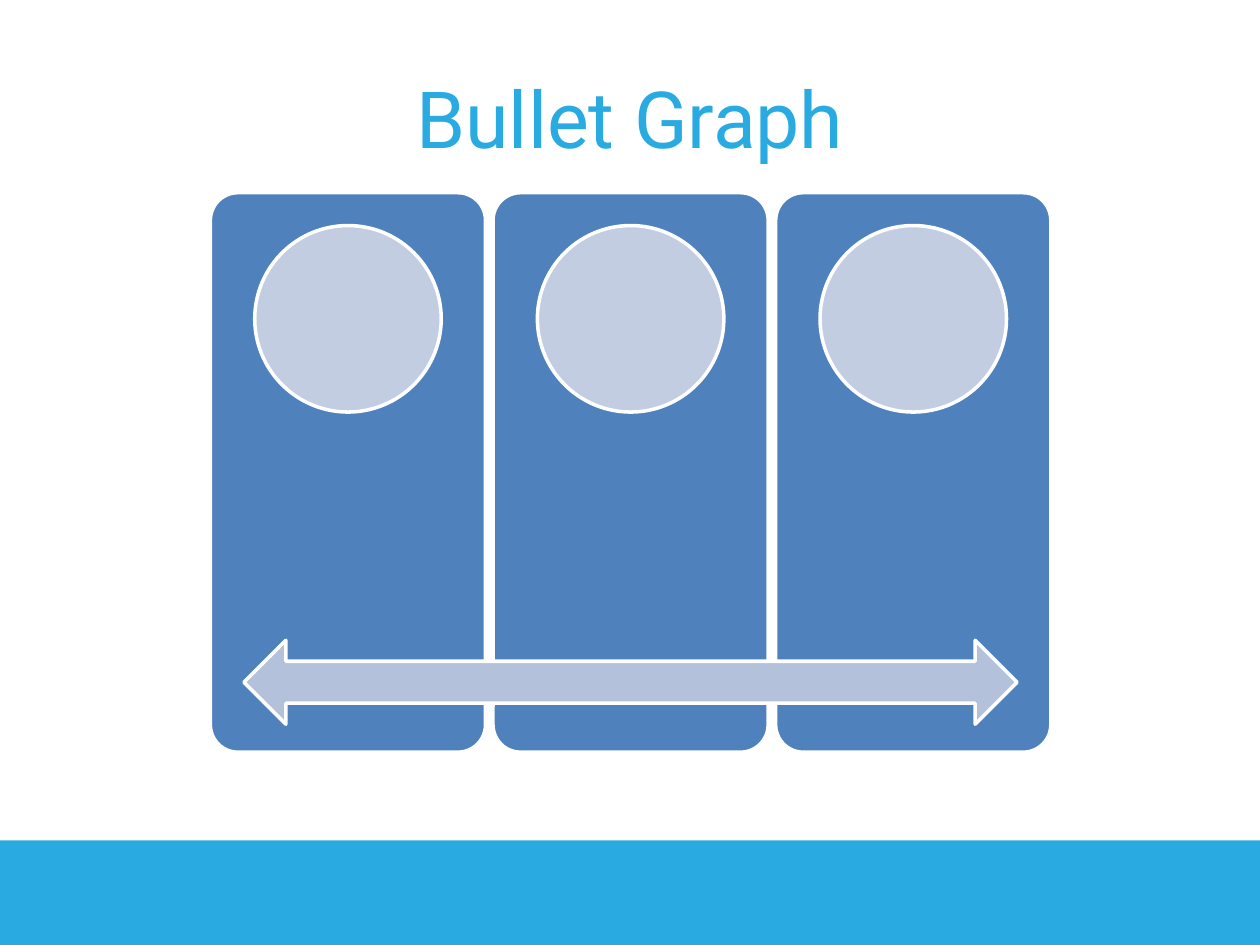
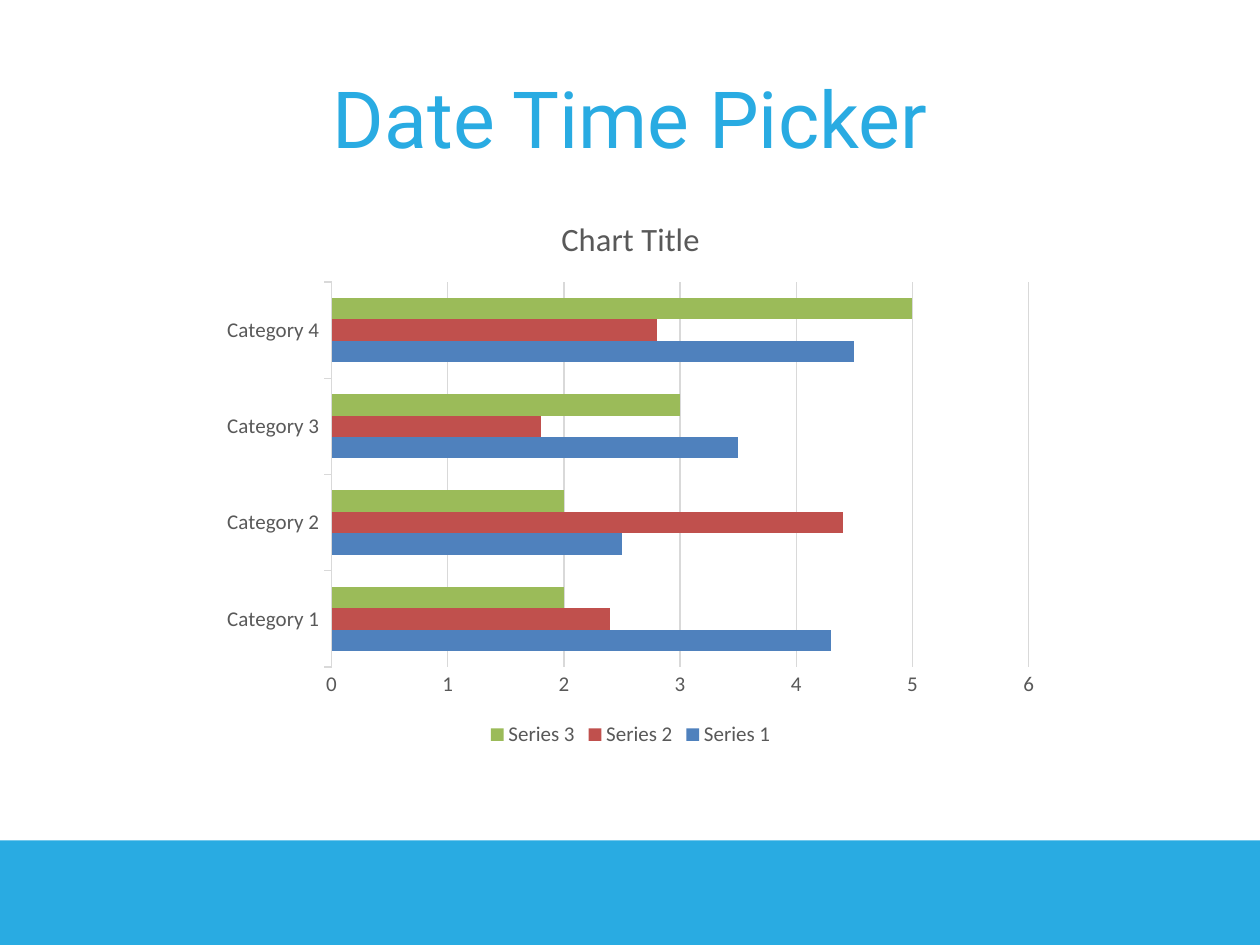
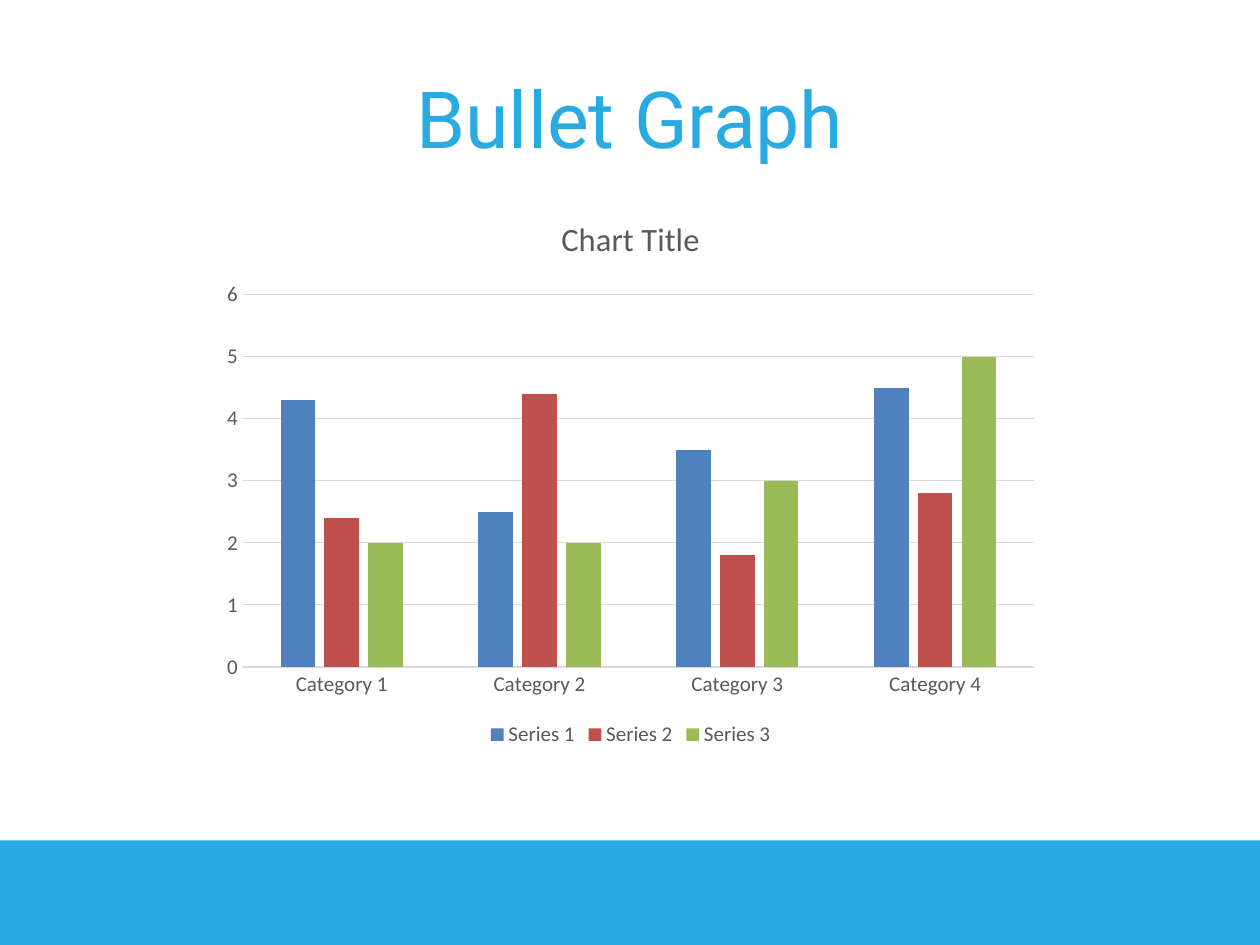
from pptx import Presentation
from pptx.chart.data import CategoryChartData
from pptx.dml.color import RGBColor
from pptx.enum import chart as ch, shapes, text
from pptx.util import Inches, Pt

SKY, WHITE, GREY, GRID = "29ABE2", "FFFFFF", "595959", "D9D9D9"
BLUE, RED, GREEN = "4F81BD", "C0504D", "9BBB59"
DISC, ARROW = "C2CDE1", "B3C1DB"
CONTENT = (1.67, 1.53, 6.67, 4.44)
CATEGORIES = [f"Category {n}" for n in range(1, 5)]
SERIES = [
    ("Series 1", (4.3, 2.5, 3.5, 4.5), BLUE),
    ("Series 2", (2.4, 4.4, 1.8, 2.8), RED),
    ("Series 3", (2, 2, 3, 5), GREEN),
]
BAR = dict(kind=ch.XL_CHART_TYPE.BAR_CLUSTERED, tick=ch.XL_TICK_MARK.OUTSIDE,
           gap_width=150, overlap=0)
COLUMN = dict(kind=ch.XL_CHART_TYPE.COLUMN_CLUSTERED, tick=ch.XL_TICK_MARK.NONE,
              gap_width=219, overlap=-27)


def rgb(value):
    return RGBColor.from_string(value)


def set_all(target, values):
    for name, value in values.items():
        setattr(target, name, value)


def style_font(font, size, color, name="Calibri"):
    set_all(font, dict(size=Pt(size), name=name, bold=False))
    font.color.rgb = rgb(color)


def style_line(line, color, width):
    line.color.rgb = rgb(color)
    line.width = Pt(width)


def add_block(s, kind, box, fill, outline=None):
    sp = s.shapes.add_shape(kind, *map(Inches, box))
    sp.shadow.inherit = False
    sp.fill.solid()
    sp.fill.fore_color.rgb = rgb(fill)
    if outline:
        style_line(sp.line, outline, 2)
    else:
        sp.line.fill.background()
    return sp


def add_base(prs, title):
    s = prs.slides.add_slide(prs.slide_layouts[6])
    tf = s.shapes.add_textbox(*map(Inches, (0.5, 0.3, 9, 1.25))).text_frame
    set_all(tf, dict(word_wrap=True, vertical_anchor=text.MSO_ANCHOR.MIDDLE))
    p = tf.paragraphs[0]
    p.alignment = text.PP_ALIGN.CENTER
    r = p.add_run()
    r.text = title
    style_font(r.font, 45, SKY, "Roboto")
    add_block(s, shapes.MSO_SHAPE.RECTANGLE, (0, 6.67, 10, 0.83), SKY)
    return s


def add_panels(s, box, count=3, gap=0.06, disc=1.48):
    left, top, width, height = box
    panel = (width - gap * (count - 1)) / count
    for i in range(count):
        x = left + i * (panel + gap)
        sp = add_block(s, shapes.MSO_SHAPE.ROUNDED_RECTANGLE,
                       (x, top, panel, height), BLUE, WHITE)
        sp.adjustments[0] = 0.1
        add_block(s, shapes.MSO_SHAPE.OVAL,
                  (x + (panel - disc) / 2, top + 0.26, disc, disc), DISC, WHITE)
    add_block(s, shapes.MSO_SHAPE.LEFT_RIGHT_ARROW,
              (left + width * 0.04, top + height * 0.8, width * 0.92, height * 0.15),
              ARROW, WHITE)


def add_bars(s, box, kind, tick, gap_width, overlap):
    data = CategoryChartData()
    data.categories = CATEGORIES
    for name, values, _ in SERIES:
        data.add_series(name, values)
    chart = s.shapes.add_chart(kind, *map(Inches, box), data).chart
    style_font(chart.font, 10, "000000")

    chart.has_title = True
    p = chart.chart_title.text_frame.paragraphs[0]
    r = p.add_run()
    r.text = "Chart Title"
    style_font(r.font, 18.6, GREY)
    chart.chart_title.include_in_layout = False

    chart.has_legend = True
    set_all(chart.legend, dict(position=ch.XL_LEGEND_POSITION.BOTTOM,
                               include_in_layout=False))
    style_font(chart.legend.font, 12, GREY)

    for axis, mark in ((chart.category_axis, tick),
                       (chart.value_axis, ch.XL_TICK_MARK.NONE)):
        set_all(axis, dict(major_tick_mark=mark,
                           minor_tick_mark=ch.XL_TICK_MARK.NONE))
        style_font(axis.tick_labels.font, 12, GREY)
    chart.category_axis.has_major_gridlines = False
    style_line(chart.category_axis.format.line, GRID, 0.75)
    set_all(chart.value_axis, dict(minimum_scale=0, maximum_scale=6, major_unit=1))
    chart.value_axis.format.line.fill.background()
    style_line(chart.value_axis.major_gridlines.format.line, GRID, 0.75)

    plot = chart.plots[0]
    set_all(plot, dict(gap_width=gap_width, overlap=overlap, vary_by_categories=False))
    for series, (_, _, color) in zip(plot.series, SERIES):
        series.invert_if_negative = False
        series.format.fill.solid()
        series.format.fill.fore_color.rgb = rgb(color)


def main():
    prs = Presentation()
    set_all(prs, dict(slide_width=Inches(10), slide_height=Inches(7.5)))
    add_panels(add_base(prs, "Bullet Graph"), CONTENT)
    add_bars(add_base(prs, "Date Time Picker"), CONTENT, **BAR)
    add_bars(add_base(prs, "Bullet Graph"), CONTENT, **COLUMN)
    prs.save("out.pptx")


if __name__ == "__main__":
    main()
